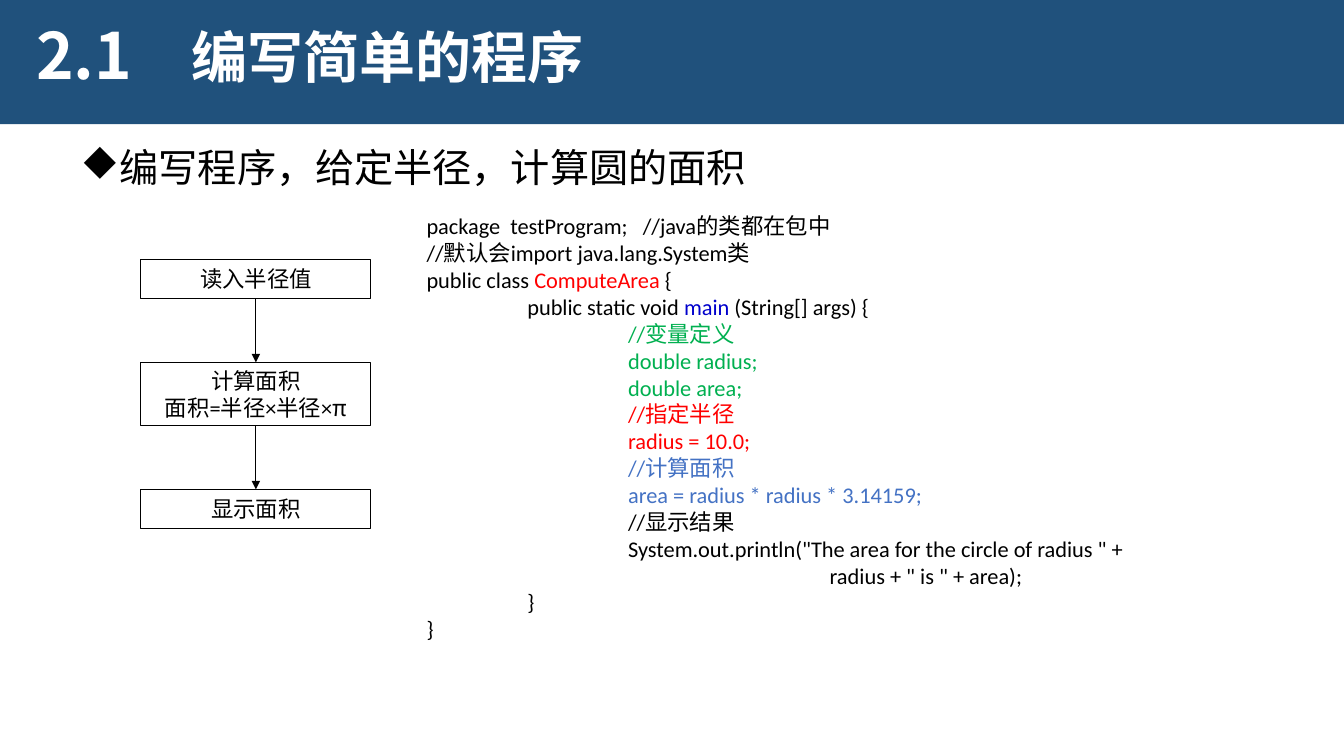
from pptx import Presentation
from pptx.util import Cm, Pt
from pptx.dml.color import RGBColor
from pptx.enum.shapes import MSO_CONNECTOR, MSO_SHAPE
from pptx.enum.text import MSO_ANCHOR, PP_ALIGN
from lxml import etree

RECT = MSO_SHAPE.RECTANGLE
STRAIGHT = MSO_CONNECTOR.STRAIGHT
TOP, MIDDLE = MSO_ANCHOR.TOP, MSO_ANCHOR.MIDDLE
LEFT, CENTER = PP_ALIGN.LEFT, PP_ALIGN.CENTER
A = "{http://schemas.openxmlformats.org/drawingml/2006/main}"
CJK, LATIN = "Noto Sans CJK SC", "Calibri"
COLORS = {"band": "20517C", "white": "FFFFFF", "black": "000000", "red": "FF0000",
          "navy": "0000CC", "green": "00B050", "blue": "4472C4"}


def add_run(p, text, size, color="black", font=LATIN, bold=False):
    r = p.add_run()
    r.text = text
    r.font.size = Pt(size)
    r.font.bold = bold
    r.font.name = font
    r.font.color.rgb = RGBColor.from_string(COLORS[color])
    etree.SubElement(r.font._element, A + "ea", typeface=CJK)


def add_text(left, top, width, height):
    tf = s.shapes.add_textbox(Cm(left), Cm(top), Cm(width), Cm(height)).text_frame
    tf.word_wrap = True
    tf.vertical_anchor = TOP
    return tf


prs = Presentation()
prs.slide_width, prs.slide_height = Cm(33.87), Cm(19.05)
s = prs.slides.add_slide(prs.slide_layouts[6])

band = s.shapes.add_shape(RECT, Cm(-0.08), Cm(0), Cm(33.95), Cm(3.13))
band.shadow.inherit = False
band.fill.solid()
band.fill.fore_color.rgb = RGBColor.from_string(COLORS["band"])
band.line.fill.background()

headings = [
    (0.66, 0.48, 3.48, 2.31, "2.1", 45.6, "white", True),
    (4.58, 0.64, 20.55, 1.37, "编写简单的程序", 40, "white", True),
    (1.78, 3.63, 22.23, 1.4, "编写程序，给定半径，计算圆的面积", 28, "black", False),
]
for left, top, width, height, text, size, color, bold in headings:
    p = add_text(left, top, width, height).paragraphs[0]
    p.alignment = LEFT
    p.line_spacing = 0.9
    p.space_before = Pt(10)
    add_run(p, text, size, color, CJK, bold)

pPr = p._p.get_or_add_pPr()
pPr.set("marL", str(Cm(0.64)))
pPr.set("indent", str(-Cm(0.64)))
etree.SubElement(pPr, A + "buFont", typeface="Wingdings", charset="2")
etree.SubElement(pPr, A + "buChar", char="u")

STEP_LEFT, STEP_WIDTH = 3.55, 5.8
steps = [
    (6.53, 0.99, [[("读入半径值", LATIN)]]),
    (9.13, 1.6, [[("计算面积", LATIN)], [("面积=半径×半径×", LATIN), ("π", CJK)]]),
    (12.33, 0.99, [[("显示面积", LATIN)]]),
]
for top, height, lines in steps:
    sp = s.shapes.add_shape(RECT, Cm(STEP_LEFT), Cm(top), Cm(STEP_WIDTH), Cm(height))
    sp.shadow.inherit = False
    sp.fill.background()
    sp.line.color.rgb = RGBColor.from_string(COLORS["black"])
    sp.line.width = Pt(0.75)
    tf = sp.text_frame
    tf.word_wrap = False
    tf.vertical_anchor = MIDDLE
    for i, line in enumerate(lines):
        p = tf.add_paragraph() if i else tf.paragraphs[0]
        p.alignment = CENTER
        for text, font in line:
            add_run(p, text, 16, font=font)

x = Cm(STEP_LEFT + STEP_WIDTH / 2)
for (top, height, _), (next_top, _, _) in zip(steps, steps[1:]):
    arrow = s.shapes.add_connector(STRAIGHT, x, Cm(top + height), x, Cm(next_top))
    arrow.line.color.rgb = RGBColor.from_string(COLORS["black"])
    arrow.line.width = Pt(0.75)
    etree.SubElement(arrow.line._get_or_add_ln(), A + "tailEnd", type="triangle")
    etree.SubElement(arrow._element.spPr, A + "effectLst")

code = [
    [("package  testProgram;   //java的类都在包中", "black")],
    [("//默认会import java.lang.System类", "black")],
    [("public class ", "black"), ("ComputeArea", "red"), (" {", "black")],
    [("\tpublic static void ", "black"), ("main", "navy"), (" (String[] args) {", "black")],
    [("\t\t//变量定义", "green")],
    [("\t\tdouble radius;", "green")],
    [("\t\tdouble area;", "green")],
    [("\t\t//指定半径", "red")],
    [("\t\tradius = 10.0;", "red")],
    [("\t\t//计算面积", "blue")],
    [("\t\tarea = radius * radius * 3.14159;", "blue")],
    [("\t\t//显示结果", "black")],
    [("\t\tSystem.out.println(\"The area for the circle of radius \" +", "black")],
    [("\t\t\t\tradius + \" is \" + area);", "black")],
    [("\t}", "black")],
    [("}", "black")],
]
tf = add_text(10.5, 5.23, 18.62, 11.2)
for i, line in enumerate(code):
    p = tf.add_paragraph() if i else tf.paragraphs[0]
    tabs = etree.SubElement(p._p.get_or_add_pPr(), A + "tabLst")
    for stop in range(1, 5):
        etree.SubElement(tabs, A + "tab", pos=str(Cm(2.54 * stop)), algn="l")
    for text, color in line:
        add_run(p, text, 16, color)

prs.save("out.pptx")
